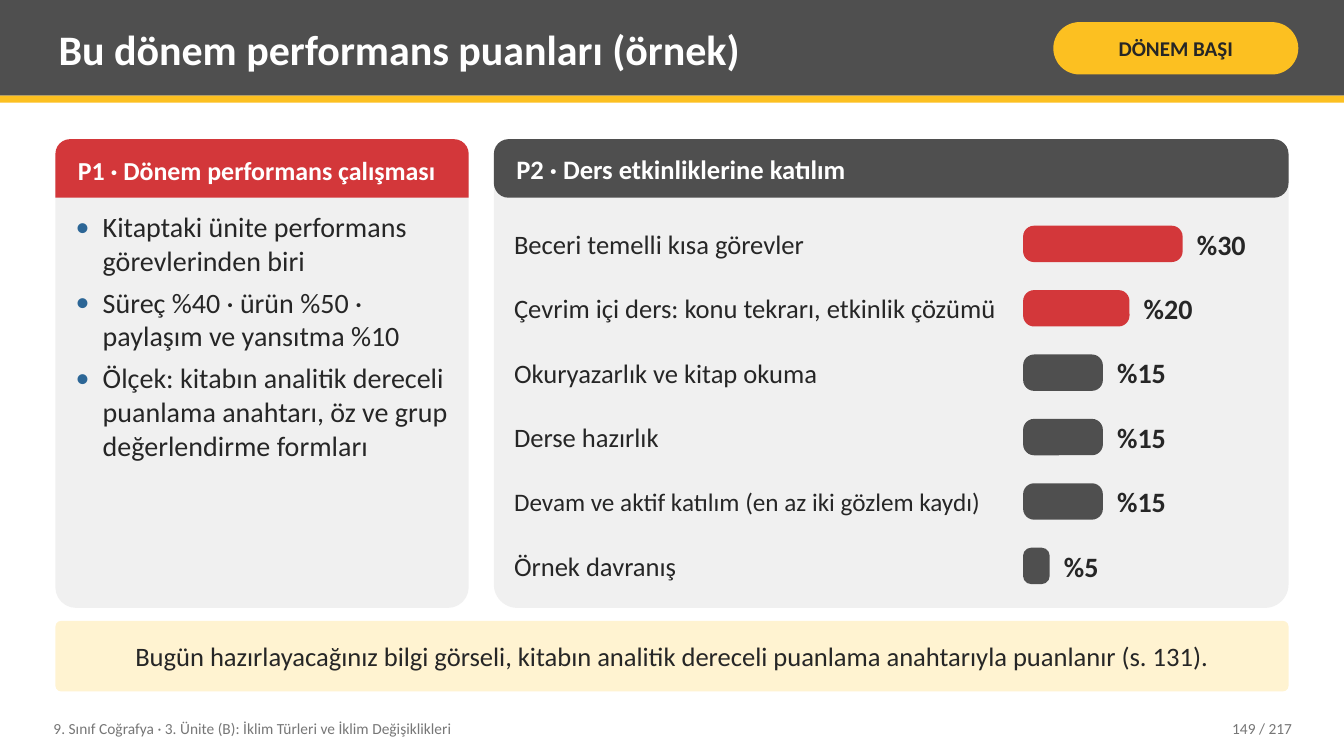
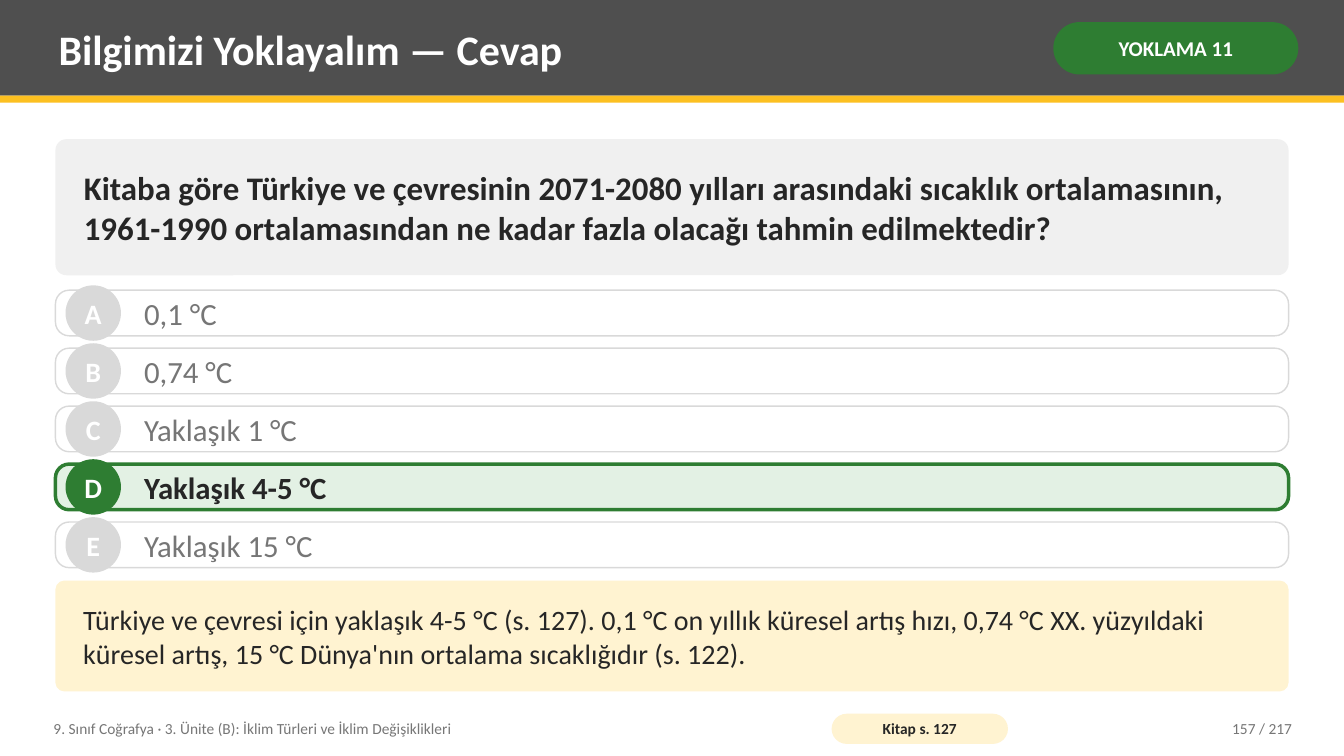
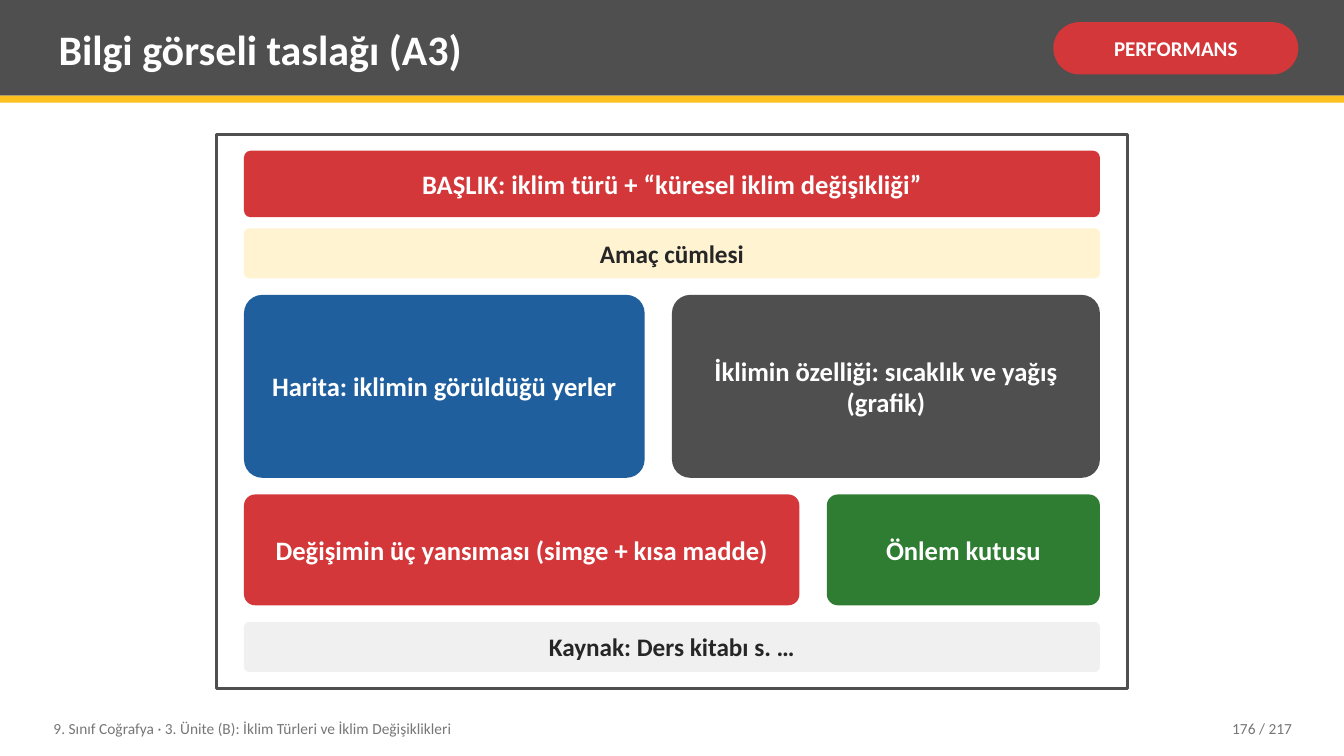
"""Build three geography lesson slides: scores, quiz answer and poster draft."""
from lxml import etree
from pptx import Presentation
from pptx.dml.color import RGBColor
from pptx.enum import shapes, text
from pptx.oxml import ns
from pptx.util import Pt

WHITE = RGBColor(0xFF, 0xFF, 0xFF)
INK = RGBColor(0x26, 0x26, 0x26)
SLATE = RGBColor(0x4F, 0x4F, 0x4F)
MUTED = RGBColor(0x76, 0x76, 0x76)
SILVER = RGBColor(0xD9, 0xD9, 0xD9)
PALE = RGBColor(0xF0, 0xF0, 0xF0)
YELLOW = RGBColor(0xFC, 0xC0, 0x21)
CREAM = RGBColor(0xFF, 0xF3, 0xD1)
RED = RGBColor(0xD3, 0x37, 0x3A)
GREEN = RGBColor(0x2E, 0x7D, 0x32)
MINT = RGBColor(0xE3, 0xF1, 0xE4)
BLUE = RGBColor(0x1F, 0x5F, 0x9E)
BULLET = RGBColor(0x2C, 0x66, 0x96)

FONT = "Calibri"
WIDTH, HEIGHT = 960, 540
MARGIN = 39.6
CONTENT = WIDTH - 2 * MARGIN
TOP = 99.4
FOOTER = "9. Sınıf Coğrafya · 3. Ünite (B): İklim Türleri ve İklim Değişiklikleri"
PAGES = 217

RECT = shapes.MSO_SHAPE.RECTANGLE
ROUND = shapes.MSO_SHAPE.ROUNDED_RECTANGLE
ROUND_TOP = shapes.MSO_SHAPE.ROUND_2_SAME_RECTANGLE
OVAL = shapes.MSO_SHAPE.OVAL
LEFT, CENTER, RIGHT = text.PP_ALIGN.LEFT, text.PP_ALIGN.CENTER, text.PP_ALIGN.RIGHT
MIDDLE, UPPER = text.MSO_ANCHOR.MIDDLE, text.MSO_ANCHOR.TOP


def write(shape, words, size, color=INK, bold=False, align=LEFT,
          inset=(5.8, 2.9), anchor=MIDDLE, wrap=True):
    """Fill a shape with text in one style."""
    frame = shape.text_frame
    frame.text = words
    frame.word_wrap = wrap
    frame.auto_size = text.MSO_AUTO_SIZE.NONE
    frame.vertical_anchor = anchor
    frame.margin_left = frame.margin_right = Pt(inset[0])
    frame.margin_top = frame.margin_bottom = Pt(inset[1])
    for para in frame.paragraphs:
        para.alignment = align
        for span in para.runs:
            span.font.name = FONT
            span.font.size = Pt(size)
            span.font.bold = bold
            span.font.color.rgb = color


def add_box(page, place, fill, kind=ROUND, radius=None, line=None, weight=1):
    """Add a flat preset shape at a place given in points."""
    box = page.shapes.add_shape(kind, *map(Pt, place))
    box.shadow.inherit = False
    box.fill.solid()
    box.fill.fore_color.rgb = fill
    if radius is not None:
        box.adjustments[0] = radius
    if line is None:
        box.line.fill.background()
    else:
        box.line.color.rgb = line
        box.line.width = Pt(weight)
    return box


def add_label(page, place, words, size, **style):
    """Add a text box and return it."""
    label = page.shapes.add_textbox(*map(Pt, place))
    write(label, words, size, **style)
    return label


def add_bullets(page, place, items, size):
    """Add a list with coloured bullets and hanging indents."""
    label = add_label(page, place, "\n".join(items), size, anchor=UPPER)
    for para in label.text_frame.paragraphs:
        props = para._p.get_or_add_pPr()
        props.set("marL", str(Pt(19.4)))
        props.set("indent", str(-Pt(19.4)))
        tint = etree.SubElement(props, ns.qn("a:buClr"))
        etree.SubElement(tint, ns.qn("a:srgbClr"), val=str(BULLET))
        etree.SubElement(props, ns.qn("a:buFont"), typeface=FONT)
        etree.SubElement(props, ns.qn("a:buChar"), char="•")
        para.space_after = Pt(6)


def add_page(deck, heading, tag, number, tag_fill, tag_color=WHITE):
    """Add a slide with its title band, tag and footer."""
    page = deck.slides.add_slide(deck.slide_layouts[5])
    add_box(page, (0, 0, WIDTH, 68.4), SLATE, RECT)
    add_box(page, (0, 68.4, WIDTH, 5), YELLOW, RECT)
    title = page.shapes.title
    title.left, title.top, title.width, title.height = map(Pt, (36, 5, 702, 59))
    write(title, heading, 30, WHITE, bold=True)
    page.shapes._spTree.append(title._element)
    pill = add_box(page, (752.4, 15.8, 175, 37.4), tag_fill, radius=0.5)
    write(pill, tag, 15, tag_color, bold=True, align=CENTER, inset=(3.6, 1.4))
    add_label(page, (32.4, 507, 547, 26), FOOTER, 11, color=MUTED)
    add_label(page, (813.6, 507, 115.2, 26), f"{number} / {PAGES}", 11,
              color=MUTED, align=RIGHT)
    return page


def add_panel(page, left, width, heading, size, fill, kind):
    """Add a pale panel under a coloured heading."""
    add_box(page, (left, TOP, width, 334.8), PALE, radius=0.05)
    head = add_box(page, (left, TOP, width, 41.8), fill, kind, 0.25)
    write(head, heading, size, WHITE, bold=True, inset=(13, 5.8))


def add_score(page, top, words, size, percent, fill):
    """Add one row with a label, a bar to scale and its value."""
    pitch, bar_left, bar_height = 46, 730.8, 26
    length = percent * 3.8
    add_label(page, (361.4, top, 363.6, pitch), words, size)
    add_box(page, (bar_left, top + (pitch - bar_height) / 2, length, bar_height),
            fill, radius=0.3)
    add_label(page, (bar_left + length + 4.3, top, 65, pitch), f"%{percent}", 20,
              bold=True)
    return top + pitch


def add_option(page, top, letter, words, correct):
    """Add one answer option, marked when it is correct."""
    height, disc = 32.6, 39.6
    accent = GREEN if correct else SILVER
    add_box(page, (MARGIN, top, CONTENT, height), MINT if correct else WHITE,
            radius=0.3, line=accent, weight=2.5 if correct else 1)
    badge = add_box(page, (46.8, top + (height - disc) / 2, disc, disc), accent, OVAL)
    write(badge, letter, 20, WHITE, bold=True, align=CENTER, inset=(0, 0), wrap=False)
    add_label(page, (97.2, top, 808.6, height), words, 22,
              color=INK if correct else MUTED, bold=correct)


def add_note(page, top, height, fill, words, size, **style):
    """Add a full-width note box."""
    box = add_box(page, (MARGIN, top, CONTENT, height), fill, radius=0.08)
    write(box, words, size, **style)


def build_scores(deck):
    """Build the slide on performance scores."""
    page = add_page(deck, "Bu dönem performans puanları (örnek)", "DÖNEM BAŞI", 149,
                    YELLOW, INK)
    add_panel(page, MARGIN, 295.2, "P1 · Dönem performans çalışması", 18.5, RED,
              ROUND_TOP)
    add_bullets(page, (48.2, 146.9, 278, 281.5), (
        "Kitaptaki ünite performans görevlerinden biri",
        "Süreç %40 · ürün %50 · paylaşım ve yansıtma %10",
        "Ölçek: kitabın analitik dereceli puanlama anahtarı, öz ve grup "
        "değerlendirme formları"), 20)
    add_panel(page, 352.8, 567.6, "P2 · Ders etkinliklerine katılım", 19, SLATE, ROUND)
    top = 151.2
    for words, size, percent, fill in (
            ("Beceri temelli kısa görevler", 19, 30, RED),
            ("Çevrim içi ders: konu tekrarı, etkinlik çözümü", 19, 20, RED),
            ("Okuryazarlık ve kitap okuma", 19, 15, SLATE),
            ("Derse hazırlık", 19, 15, SLATE),
            ("Devam ve aktif katılım (en az iki gözlem kaydı)", 18, 15, SLATE),
            ("Örnek davranış", 19, 5, SLATE)):
        top = add_score(page, top, words, size, percent, fill)
    add_note(page, 443.5, 50.4, CREAM,
             "Bugün hazırlayacağınız bilgi görseli, kitabın analitik dereceli "
             "puanlama anahtarıyla puanlanır (s. 131).", 19, align=CENTER,
             inset=(10, 5.8))


def build_answer(deck):
    """Build the slide with the quiz answer."""
    page = add_page(deck, "Bilgimizi Yoklayalım — Cevap", "YOKLAMA 11", 157, GREEN)
    add_note(page, TOP, 97.2, PALE,
             "Kitaba göre Türkiye ve çevresinin 2071-2080 yılları arasındaki sıcaklık "
             "ortalamasının, 1961-1990 ortalamasından ne kadar fazla olacağı tahmin "
             "edilmektedir?", 23.5, bold=True, inset=(18, 5.8))
    answers = ("0,1 °C", "0,74 °C", "Yaklaşık 1 °C", "Yaklaşık 4-5 °C",
               "Yaklaşık 15 °C")
    for index, (letter, words) in enumerate(zip("ABCDE", answers)):
        add_option(page, 207.3 + 41.4 * index, letter, words, letter == "D")
    add_note(page, 414.7, 79.2, CREAM,
             "Türkiye ve çevresi için yaklaşık 4-5 °C (s. 127). 0,1 °C on yıllık "
             "küresel artış hızı, 0,74 °C XX. yüzyıldaki küresel artış, 15 °C "
             "Dünya'nın ortalama sıcaklığıdır (s. 122).", 20, inset=(18, 5.8))
    source = add_box(page, (594, 509.8, 126, 21.6), CREAM, radius=0.5)
    write(source, "Kitap s. 127", 11, bold=True, align=CENTER, inset=(2.9, 0))


def build_poster(deck):
    """Build the poster draft from percentages of its sheet."""
    page = add_page(deck, "Bilgi görseli taslağı (A3)", "PERFORMANS", 176, RED)
    left, top, width, height = sheet = 154.8, 95.8, 650.4, 396
    add_box(page, sheet, WHITE, RECT, line=SLATE, weight=2)
    for (x, y, w, h), words, size, fill, color in (
            ((3, 3, 94, 12), "BAŞLIK: iklim türü + “küresel iklim değişikliği”", 19,
             RED, WHITE),
            ((3, 17, 94, 9), "Amaç cümlesi", 18, CREAM, INK),
            ((3, 29, 44, 33), "Harita: iklimin görüldüğü yerler", 19, BLUE, WHITE),
            ((50, 29, 47, 33), "İklimin özelliği: sıcaklık ve yağış (grafik)", 19,
             SLATE, WHITE),
            ((3, 65, 61, 20), "Değişimin üç yansıması (simge + kısa madde)", 19,
             RED, WHITE),
            ((67, 65, 30, 20), "Önlem kutusu", 19, GREEN, WHITE),
            ((3, 88, 94, 9), "Kaynak: Ders kitabı s. …", 18, PALE, INK)):
        place = (left + width * x / 100, top + height * y / 100,
                 width * w / 100, height * h / 100)
        box = add_box(page, place, fill, radius=0.1)
        write(box, words, size, color, bold=True, align=CENTER, inset=(10, 5.8))


def main():
    """Build and save the deck."""
    deck = Presentation()
    deck.slide_width, deck.slide_height = Pt(WIDTH), Pt(HEIGHT)
    build_scores(deck)
    build_answer(deck)
    build_poster(deck)
    deck.save("out.pptx")


if __name__ == "__main__":
    main()
